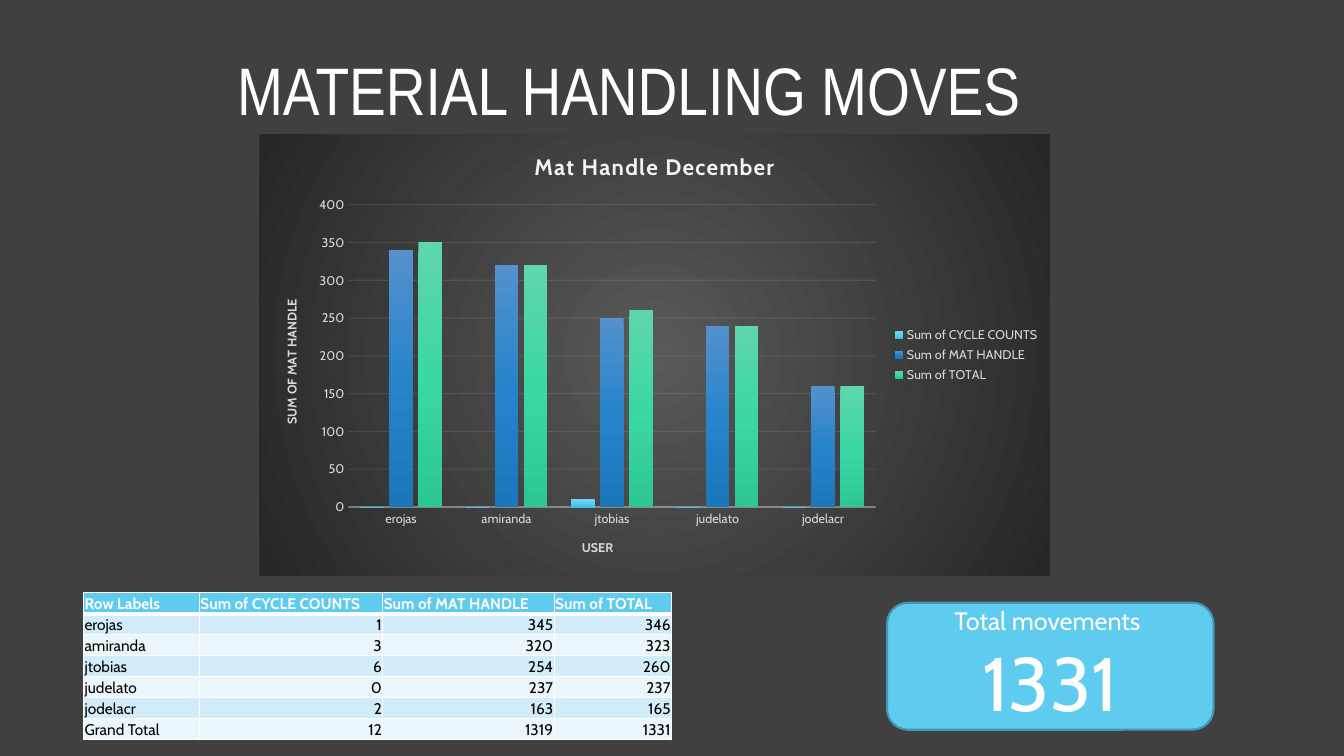
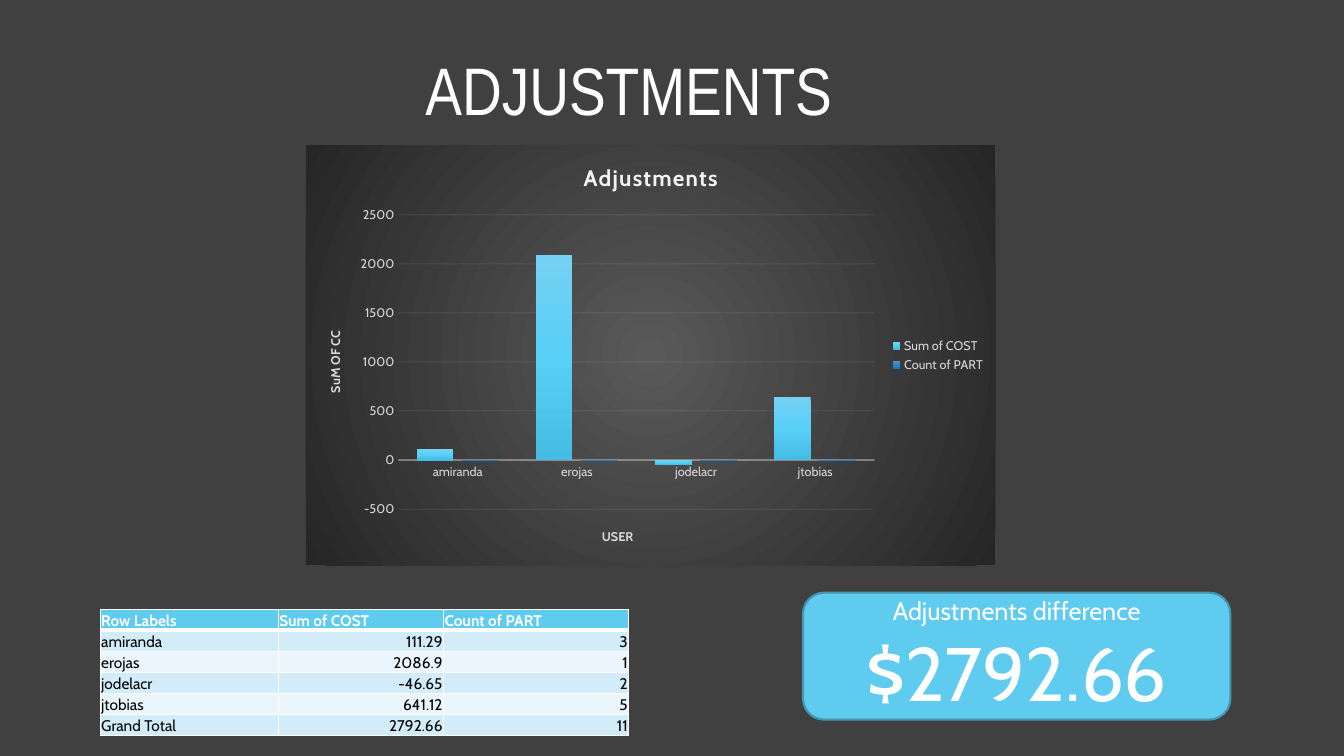
import dataclasses

import lxml.etree
import pptx
import pptx.chart.data
import pptx.dml.color
import pptx.enum.chart
import pptx.enum.shapes
import pptx.enum.text
import pptx.oxml
import pptx.oxml.ns
import pptx.util

RGB = pptx.dml.color.RGBColor.from_string
Pt = pptx.util.Pt
ALIGN = pptx.enum.text.PP_ALIGN
ANCHOR = pptx.enum.text.MSO_ANCHOR
qn = pptx.oxml.ns.qn


@dataclasses.dataclass(frozen=True)
class Theme:
    back: str = "404040"
    white: str = "FFFFFF"
    black: str = "000000"
    sky: str = "5FCBEF"
    edge: str = "4696B1"
    bands: tuple = ("D2ECF9", "EAF6FC")
    label: str = "D9D9D9"
    rule: str = "F2F2F2"
    glow: tuple = ((0, "595959"), (100, "262626"))
    bars: tuple = (
        ((0, "75D1F3"), (50, "58CFF6"), (100, "45BCE3")),
        ((0, "5491CD"), (50, "2784CA"), (100, "1C76BB")),
        ((0, "60D6AC"), (50, "3BD7A4"), (100, "2CC795")),
    )
    head: str = "Arial Narrow"
    body: str = "Cabin"
    title: int = 48
    figure: int = 54
    lead: int = 18
    chart: int = 16
    cell: int = 11
    small: int = 9


theme = Theme()


def write(par, text, size, color=theme.white, font=theme.body, bold=False, align=None, space=0):
    """Add one formatted run to a paragraph."""
    par.alignment = align
    run = par.add_run()
    run.text = text
    run.font.size, run.font.name, run.font.bold = Pt(size), font, bold
    run.font.color.rgb = RGB(color)
    if space:
        run.font._element.set("spc", str(space))


def shade(stops, way):
    """Make a gradient fill from stops and a direction."""
    marks = "".join(
        f'<a:gs pos="{pos * 1000}"><a:srgbClr val="{color}"/></a:gs>' for pos, color in stops
    )
    return pptx.oxml.parse_xml(
        f'<a:gradFill {pptx.oxml.ns.nsdecls("a")} rotWithShape="1">'
        f"<a:gsLst>{marks}</a:gsLst>{way}</a:gradFill>"
    )


DOWN = '<a:lin ang="5400000" scaled="0"/>'
ROUND = '<a:path path="circle"><a:fillToRect l="50000" t="50000" r="50000" b="50000"/></a:path>'

# Boxes are left, top, width, height on a grid of 100 columns by 100 rows;
# the inner box is in percent of the chart
pages = [
    dict(
        title="MATERIAL HANDLING MOVES",
        chart="Mat Handle December", axis="SUM OF MAT HANDLE", scale=(0, 400, 50),
        plot=(19.3, 17.73, 58.8, 58.4), inner=(11.25, 16, 66.75, 68.5),
        card=(66, 79.73, 24.3, 16.8), note="Total movements ", figure="1331",
        table=(6.22, 78.4), widths=(8.62, 13.65, 12.75, 8.74),
        names=("Sum of CYCLE COUNTS", "Sum of MAT HANDLE", "Sum of TOTAL"),
        rows=[("erojas", 1, 345, 346), ("amiranda", 3, 320, 323), ("jtobias", 6, 254, 260),
              ("judelato", 0, 237, 237), ("jodelacr", 2, 163, 165)],
    ),
    dict(
        title="ADJUSTMENTS",
        chart="Adjustments", axis="SuM OF CC", scale=(-500, 2500, 500),
        plot=(22.76, 19.2, 51.3, 55.6), inner=(13.4, 16.6, 69.1, 70),
        card=(59.75, 78.4, 31.8, 16.8), note="Adjustments difference", figure="$2792.66",
        table=(7.46, 80.6), widths=(13.25, 12.3, 13.78),
        names=("Sum of COST", "Count of PART"),
        rows=[("amiranda", 111.29, 3), ("erojas", 2086.9, 1),
              ("jodelacr", -46.65, 2), ("jtobias", 641.12, 5)],
    ),
]

# Slide size, grid and shared background
deck = pptx.Presentation()
deck.slide_width, deck.slide_height = pptx.util.Inches(40 / 3), pptx.util.Inches(7.5)
col, row = deck.slide_width // 100, deck.slide_height // 100
deck.slide_master.background.fill.solid()
deck.slide_master.background.fill.fore_color.rgb = RGB(theme.back)

for page in pages:
    slide = deck.slides.add_slide(deck.slide_layouts[6])
    top, card, plot = (
        [int(share * unit) for share, unit in zip(box, (col, row, col, row))]
        for box in ((17.4, 4.8, 58.8, 12.93), page["card"], page["plot"])
    )

    # Title
    frame = slide.shapes.add_textbox(*top).text_frame
    frame.word_wrap, frame.vertical_anchor = True, ANCHOR.BOTTOM
    frame.margin_left = frame.margin_right = 0
    write(frame.paragraphs[0], page["title"], theme.title, font=theme.head, align=ALIGN.CENTER)

    # Card with the key figure
    shape = slide.shapes.add_shape(pptx.enum.shapes.MSO_SHAPE.ROUNDED_RECTANGLE, *card)
    shape.shadow.inherit = False
    shape.fill.solid()
    shape.fill.fore_color.rgb = RGB(theme.sky)
    shape.line.color.rgb, shape.line.width = RGB(theme.edge), Pt(1.5)
    frame = shape.text_frame
    frame.word_wrap, frame.vertical_anchor = True, ANCHOR.MIDDLE
    write(frame.paragraphs[0], page["note"], theme.lead, align=ALIGN.CENTER)
    write(frame.add_paragraph(), page["figure"], theme.figure, align=ALIGN.CENTER)

    # Chart data, rounded to tens
    users, *sums = zip(*page["rows"])
    data = pptx.chart.data.CategoryChartData()
    data.categories = users
    for name, vals in zip(page["names"], sums):
        data.add_series(name, [int(round(val, -1)) for val in vals])
    kind = pptx.enum.chart.XL_CHART_TYPE.COLUMN_CLUSTERED
    chart = slide.shapes.add_chart(kind, *plot, data).chart
    chart.font.name, chart.font.size = theme.body, Pt(theme.small)
    chart.font.color.rgb = RGB(theme.label)

    # Chart ground and inner plot area
    ground = lxml.etree.Element(qn("c:spPr"))
    ground.append(shade(theme.glow, ROUND))
    edge = lxml.etree.SubElement(ground, qn("a:ln"))
    lxml.etree.SubElement(edge, qn("a:noFill"))
    chart._chartSpace.chart.addnext(ground)
    area = chart._chartSpace.chart.plotArea
    for old in area.findall(qn("c:layout")):
        area.remove(old)
    layout = lxml.etree.Element(qn("c:layout"))
    area.insert(0, layout)
    manual = lxml.etree.SubElement(layout, qn("c:manualLayout"))
    parts = [("layoutTarget", "inner"), ("xMode", "edge"), ("yMode", "edge")]
    parts += [(tag, share / 100) for tag, share in zip("xywh", page["inner"])]
    for tag, val in parts:
        lxml.etree.SubElement(manual, qn("c:" + tag)).set("val", str(val))

    # Bars
    bars = chart.plots[0]
    bars.gap_width, bars.overlap, bars.vary_by_categories = 100, -24, False
    for series, stops in zip(bars.series, theme.bars):
        series.invert_if_negative = False
        series._element.get_or_add_spPr().append(shade(stops, DOWN))

    # Chart title and legend
    chart.has_title = chart.has_legend = True
    write(chart.chart_title.text_frame.paragraphs[0], page["chart"], theme.chart,
          color=theme.rule, bold=True, space=100)
    chart.chart_title.include_in_layout = False
    chart.legend.position = pptx.enum.chart.XL_LEGEND_POSITION.RIGHT
    chart.legend.include_in_layout = False

    # Axes
    base, side = chart.category_axis, chart.value_axis
    side.minimum_scale, side.maximum_scale, side.major_unit = page["scale"]
    for axis, text in ((base, "USER"), (side, page["axis"])):
        axis.major_tick_mark = pptx.enum.chart.XL_TICK_MARK.NONE
        axis.tick_labels.font.size = Pt(theme.small)
        frame = axis.axis_title.text_frame
        write(frame.paragraphs[0], text, theme.small, color=theme.label, bold=True)
    frame._txBody.bodyPr.set("rot", "-5400000")
    frame._txBody.bodyPr.set("vert", "horz")
    side.format.line.fill.background()
    lines = ((base.format.line, 1, 54), (side.major_gridlines.format.line, 0.75, 10))
    for line, width, alpha in lines:
        line.color.rgb, line.width = RGB(theme.rule), Pt(width)
        tint = line.fill._xPr.find(".//" + qn("a:srgbClr"))
        lxml.etree.SubElement(tint, qn("a:alpha")).set("val", str(alpha * 1000))

    # Table with its totals
    total = ("Grand Total", *(round(sum(vals), 2) for vals in sums))
    cells = [("Row Labels", *page["names"]), *page["rows"], total]
    left, high = page["table"]
    widths = [int(share * col) for share in page["widths"]]
    tall = int(2.78 * row)
    table = slide.shapes.add_table(
        len(cells), len(widths), int(left * col), int(high * row), sum(widths), tall * len(cells)
    ).table
    for column, width in zip(table.columns, widths):
        column.width = width
    for r, entry in enumerate(cells):
        table.rows[r].height = tall
        for c, value in enumerate(entry):
            cell = table.cell(r, c)
            cell.margin_left = cell.margin_right = cell.margin_top = pptx.util.Inches(0.01)
            cell.margin_bottom = 0
            cell.vertical_anchor = ANCHOR.BOTTOM
            for edge in "LRTB":
                thick = 3 if (r, edge) in ((0, "B"), (1, "T")) else 1
                border = lxml.etree.SubElement(cell._tc.get_or_add_tcPr(), qn("a:ln" + edge))
                border.set("w", str(Pt(thick)))
                solid = lxml.etree.SubElement(border, qn("a:solidFill"))
                lxml.etree.SubElement(solid, qn("a:srgbClr")).set("val", theme.white)
            cell.fill.solid()
            cell.fill.fore_color.rgb = RGB(theme.bands[(r - 1) % 2] if r else theme.sky)
            write(cell.text_frame.paragraphs[0], str(value), theme.cell,
                  color=theme.black if r else theme.white, bold=not r,
                  align=ALIGN.RIGHT if r and c else ALIGN.LEFT)

deck.save("out.pptx")
